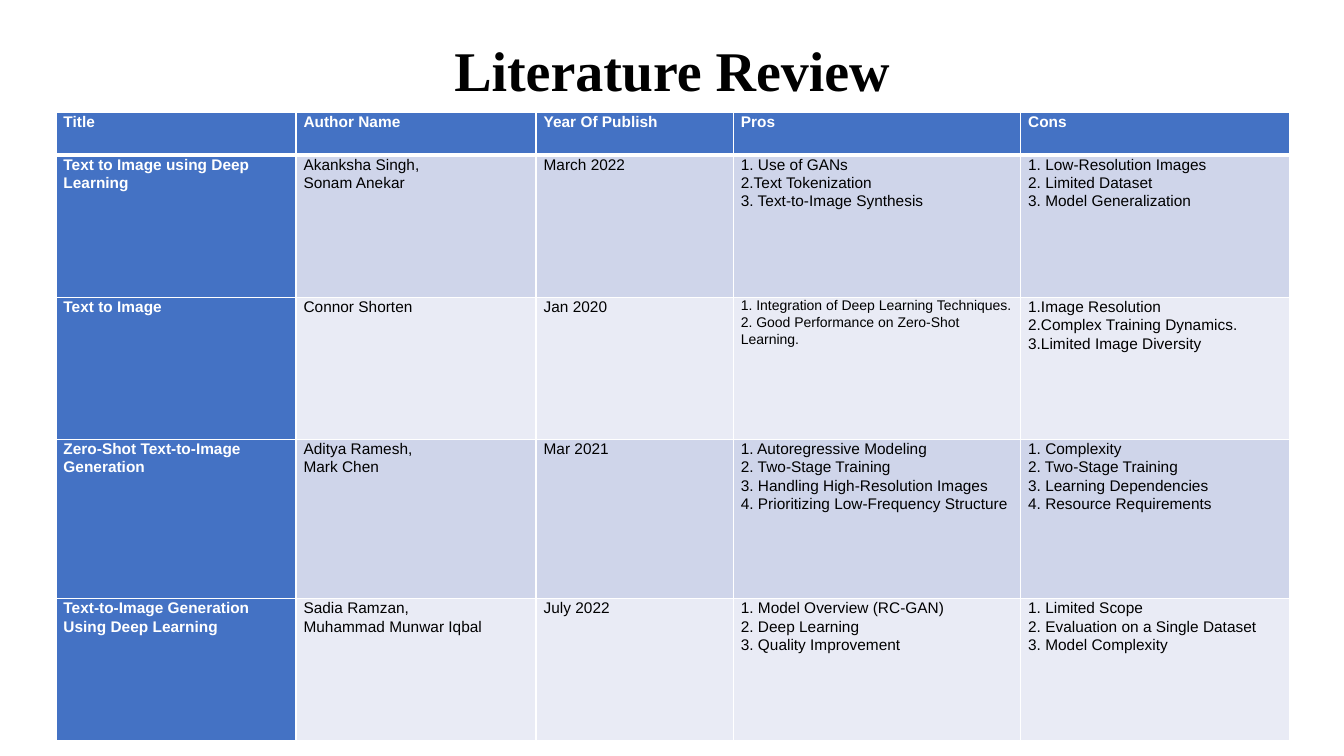
from dataclasses import dataclass

from lxml import etree
from pptx import Presentation
from pptx import util as u
from pptx.dml.color import RGBColor
from pptx.enum import text
from pptx.oxml import ns


@dataclass(frozen=True)
class Theme:
    title_font: str = "Times New Roman"
    table_font: str = "Arial"
    title_size: float = 40
    cell_size: float = 11
    small_size: float = 10
    accent: str = "4472C4"
    bands: tuple[str, str] = ("CFD5EA", "E9EBF5")
    light: str = "FFFFFF"
    dark: str = "000000"
    rule: float = 1
    header_rule: float = 3


@dataclass(frozen=True)
class Paper:
    title: str
    authors: str
    published: str
    pros: str
    cons: str
    height: float = 3.58
    pros_size: float = Theme.cell_size

    def cells(self) -> tuple[str, ...]:
        return self.title, self.authors, self.published, self.pros, self.cons


THEME = Theme()
HEADINGS = ("Title", "Author Name", "Year Of Publish", "Pros", "Cons")
PROS_COLUMN = HEADINGS.index("Pros")
COLUMN_WIDTHS = (6.05, 6.05, 4.97, 7.24, 6.78)
HEADER_HEIGHT = 1.09
PAPERS = (
    Paper(
        "Text to Image using Deep Learning",
        "Akanksha Singh,\nSonam Anekar",
        "March 2022",
        "1. Use of GANs\n2.Text Tokenization\n3. Text-to-Image Synthesis",
        "1. Low-Resolution Images\n2. Limited Dataset\n3. Model Generalization",
    ),
    Paper(
        "Text to Image",
        "Connor Shorten",
        "Jan 2020",
        "1. Integration of Deep Learning Techniques.\n"
        "2. Good Performance on Zero-Shot Learning.",
        "1.Image Resolution\n2.Complex Training Dynamics.\n3.Limited Image Diversity",
        pros_size=THEME.small_size,
    ),
    Paper(
        "Zero-Shot Text-to-Image Generation",
        "Aditya Ramesh,\nMark Chen",
        "Mar 2021",
        "1. Autoregressive Modeling\n2. Two-Stage Training\n"
        "3. Handling High-Resolution Images\n4. Prioritizing Low-Frequency Structure",
        "1. Complexity\n2. Two-Stage Training\n"
        "3. Learning Dependencies\n4. Resource Requirements",
        height=4.02,
    ),
    Paper(
        "Text-to-Image Generation Using Deep Learning",
        "Sadia Ramzan,\nMuhammad Munwar Iqbal",
        "July 2022",
        "1. Model Overview (RC-GAN)\n2. Deep Learning\n3. Quality Improvement",
        "1. Limited Scope\n2. Evaluation on a Single Dataset\n3. Model Complexity",
    ),
)


def style_font(font, name: str, size: float, color: str, bold: bool) -> None:
    font.name = name
    font.size = u.Pt(size)
    font.bold = bold
    font.color.rgb = RGBColor.from_string(color)


def add_borders(cell, top: float, bottom: float) -> None:
    """Rule all four sides; call before filling, as borders precede the fill."""
    properties = cell._tc.get_or_add_tcPr()
    widths = {"lnL": THEME.rule, "lnR": THEME.rule, "lnT": top, "lnB": bottom}
    for side, width in widths.items():
        line = etree.SubElement(properties, ns.qn(f"a:{side}"), w=str(u.Pt(width)))
        fill = etree.SubElement(line, ns.qn("a:solidFill"))
        etree.SubElement(fill, ns.qn("a:srgbClr"), val=THEME.light)


def fill_cell(cell, words: str, row: int, column: int, size: float) -> None:
    is_heading = row == 0 or column == 0
    add_borders(
        cell,
        top=THEME.header_rule if row == 1 else THEME.rule,
        bottom=THEME.header_rule if row == 0 else THEME.rule,
    )
    cell.fill.solid()
    background = THEME.accent if is_heading else THEME.bands[(row - 1) % 2]
    cell.fill.fore_color.rgb = RGBColor.from_string(background)
    cell.margin_left = cell.margin_right = u.Cm(0.19)
    cell.margin_top = cell.margin_bottom = 0
    cell.text = words
    for para in cell.text_frame.paragraphs:
        para.line_spacing = 1.07
        color = THEME.light if is_heading else THEME.dark
        style_font(para.font, THEME.table_font, size, color, is_heading)


def add_title(page, words: str) -> None:
    box = page.shapes.title
    box.left, box.top, box.width, box.height = 0, 0, u.Cm(33.87), u.Cm(3.68)
    frame = box.text_frame
    frame.text = words
    frame.auto_size = text.MSO_AUTO_SIZE.NONE
    frame.vertical_anchor = text.MSO_ANCHOR.MIDDLE
    para = frame.paragraphs[0]
    para.alignment = text.PP_ALIGN.CENTER
    para.line_spacing = 0.9
    style_font(para.font, THEME.title_font, THEME.title_size, THEME.dark, True)


def add_review_table(page, papers: tuple[Paper, ...]) -> None:
    heights = [HEADER_HEIGHT] + [paper.height for paper in papers]
    table = page.shapes.add_table(
        len(heights), len(HEADINGS), u.Cm(1.41), u.Cm(2.82),
        u.Cm(sum(COLUMN_WIDTHS)), u.Cm(sum(heights)),
    ).table
    table.first_col = True
    for column, width in zip(table.columns, COLUMN_WIDTHS):
        column.width = u.Cm(width)
    for row, height in zip(table.rows, heights):
        row.height = u.Cm(height)

    for column, heading in enumerate(HEADINGS):
        fill_cell(table.cell(0, column), heading, 0, column, THEME.cell_size)
    for row, paper in enumerate(papers, start=1):
        for column, words in enumerate(paper.cells()):
            size = paper.pros_size if column == PROS_COLUMN else THEME.cell_size
            fill_cell(table.cell(row, column), words, row, column, size)


def main() -> None:
    deck = Presentation()
    deck.slide_width, deck.slide_height = u.Cm(33.87), u.Cm(19.05)
    page = deck.slides.add_slide(deck.slide_layouts.get_by_name("Title Only"))
    add_title(page, "Literature Review")
    add_review_table(page, PAPERS)
    deck.save("out.pptx")


if __name__ == "__main__":
    main()
